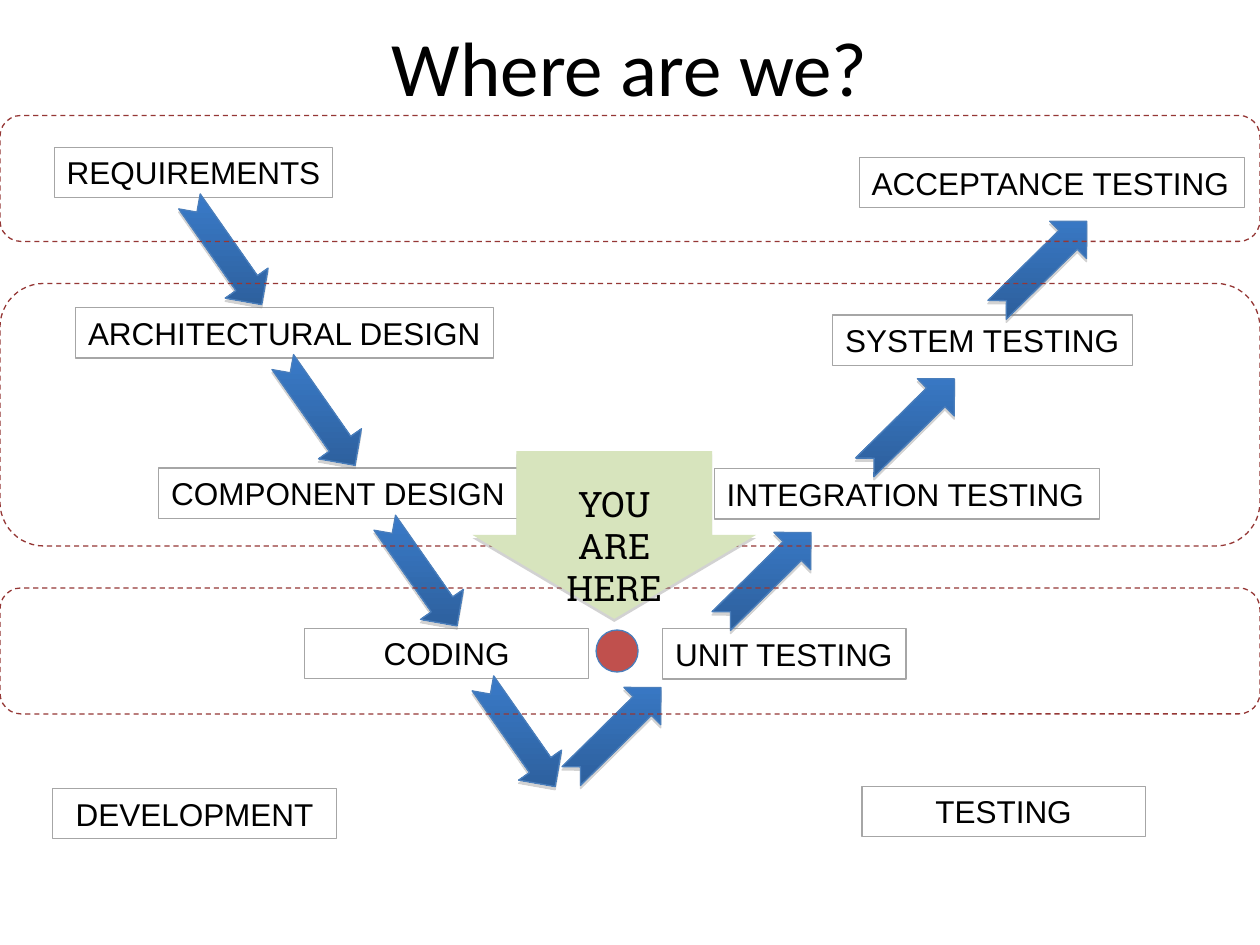
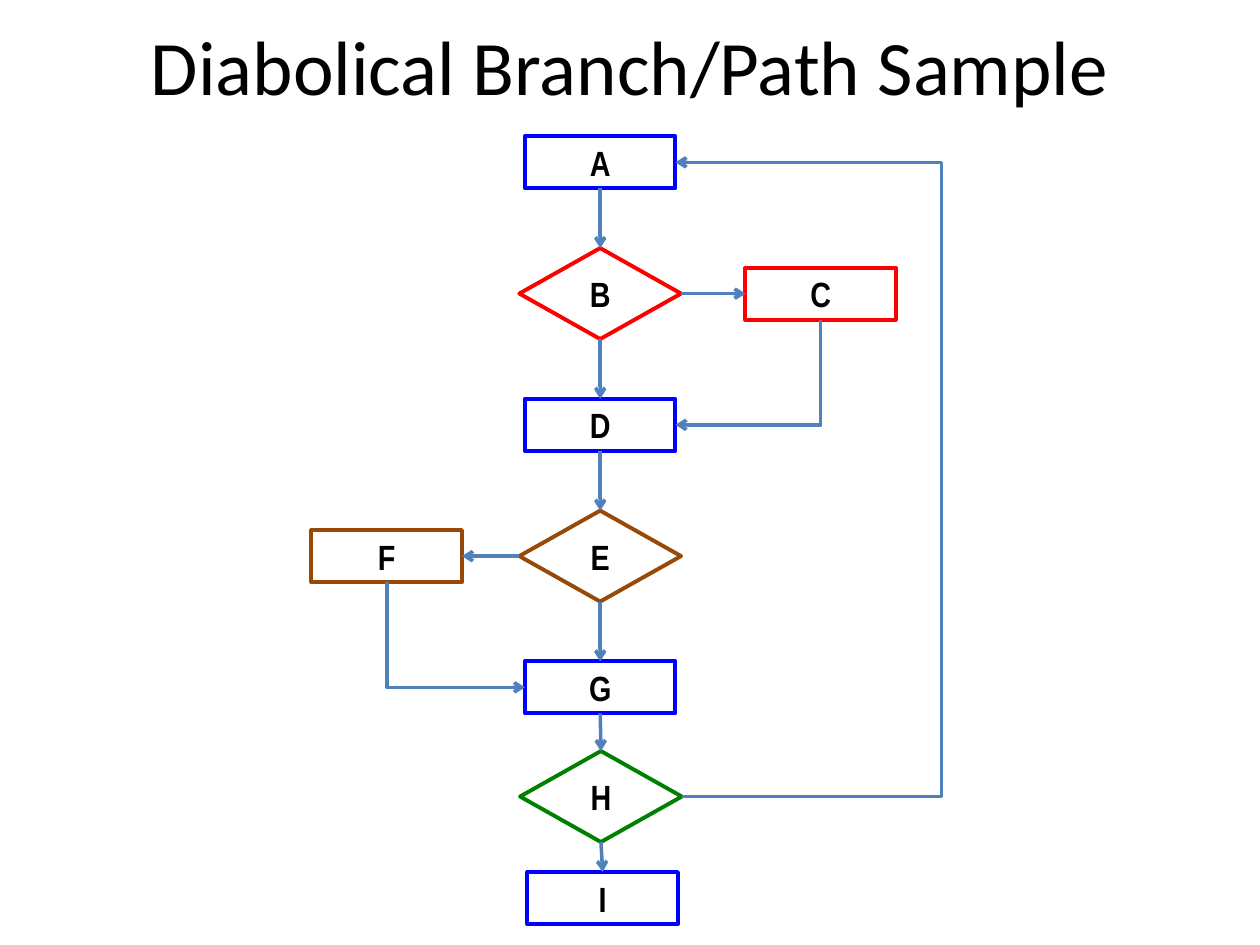
from dataclasses import dataclass
from lxml import etree
from pptx import Presentation
from pptx.dml.color import RGBColor
from pptx.enum import dml, shapes, text
from pptx.oxml import ns
from pptx.util import Pt

KIND = shapes.MSO_SHAPE
LINK = shapes.MSO_CONNECTOR
ALIGN = text.PP_ALIGN
TOP, LEFT, BOTTOM, RIGHT = range(4)


@dataclass(frozen=True)
class Theme:
    ink: str = "000000"
    paper: str = "FFFFFF"
    frame: str = "A6A6A6"
    band: str = "953735"
    edge: str = "4A7EBB"
    light: str = "3A7CCB"
    dark: str = "2C5D98"
    shade: str = "808080"
    here: str = "D7E4BD"
    dot: str = "C0504D"
    link: str = "4F81BD"
    blue: str = "0000FF"
    red: str = "FF0000"
    brown: str = "984807"
    green: str = "008000"
    title: tuple = ("Calibri", 44, False)
    label: tuple = ("Arial", 18, False)
    call: tuple = ("Roboto Slab", 20, False)
    node: tuple = ("Arial Narrow", 20, True)


T = Theme()


def rgb(code):
    return RGBColor.from_string(code)


def tag(parent, label, **attrs):
    return etree.SubElement(parent, ns.qn(label), attrs)


def write(shape, words, style, align=ALIGN.CENTER, anchor=text.MSO_ANCHOR.MIDDLE, wrap=False):
    frame = shape.text_frame
    frame.text = words
    frame.word_wrap = wrap
    frame.auto_size = text.MSO_AUTO_SIZE.NONE
    frame.vertical_anchor = anchor
    face, size, bold = style
    for para in frame.paragraphs:
        para.alignment = align
        for run in para.runs:
            run.font.name = face
            run.font.size = Pt(size)
            run.font.bold = bold
            run.font.color.rgb = rgb(T.ink)


def draw(parts, kind, box, fill=None, line=None, width=0.75):
    shape = parts.add_shape(kind, *map(Pt, box))
    shape.shadow.inherit = False
    if fill:
        shape.fill.solid()
        shape.fill.fore_color.rgb = rgb(fill)
    else:
        shape.fill.background()
    if line:
        shape.line.color.rgb = rgb(line)
        shape.line.width = Pt(width)
    else:
        shape.line.fill.background()
    return shape


def cast(shape):
    effect = shape._element.spPr.find(ns.qn("a:effectLst"))
    drop = tag(effect, "a:outerShdw", blurRad="0", dist=str(Pt(1.8)), dir="5400000", rotWithShape="0")
    color = tag(drop, "a:srgbClr", val=T.shade)
    tag(color, "a:alpha", val="35000")


def head(slide, words, box):
    title = slide.shapes.title
    title.left, title.top, title.width, title.height = map(Pt, box)
    write(title, words, T.title, wrap=True)


def label(parts, words, box, align):
    shape = draw(parts, KIND.RECTANGLE, box, line=T.frame)
    write(shape, words, T.label, align, text.MSO_ANCHOR.TOP)


def arrow(parts, x, y, turn):
    shape = draw(parts, KIND.NOTCHED_RIGHT_ARROW, (x, y, 72, 30), line=T.edge)
    shape.rotation = turn
    shape.fill.gradient()
    shape.fill.gradient_angle = (turn - 90) % 360
    for stop, color in zip(shape.fill.gradient_stops, (T.light, T.dark)):
        stop.color.rgb = rgb(color)
    cast(shape)


def bands(parts, box):
    x, y, w, h = box
    for tall in (72, 150, 72):
        shape = draw(parts, KIND.ROUNDED_RECTANGLE, (x, y, w, tall), line=T.band)
        shape.line.dash_style = dml.MSO_LINE.DASH
        y += tall + 24


def marker(parts, box):
    x, y, w, h = box
    group = parts.add_group_shape().shapes
    shape = draw(group, KIND.UP_ARROW, box, fill=T.here)
    shape.adjustments[0] = 0.69
    shape.rotation = 180
    cast(shape)
    note = group.add_textbox(*map(Pt, (x + 35, y + 14.4, w - 70, 79)))
    write(note, "YOU ARE\nHERE", T.call, anchor=text.MSO_ANCHOR.TOP, wrap=True)


def vee(parts, box):
    x, y, w, h = box
    left, mid = ALIGN.LEFT, ALIGN.CENTER
    down = (
        ("REQUIREMENTS", 31, 159, left),
        ("ARCHITECTURAL DESIGN", 43.2, 239, left),
        ("COMPONENT DESIGN", 90.7, 205.2, left),
        ("CODING", 174.2, 162, mid),
        ("DEVELOPMENT", 30.2, 162, mid),
    )
    for row, (words, dx, wide, align) in enumerate(down):
        label(parts, words, (x + dx, y + 18.2 + 91.6 * row, wide, 28.8), align)
    up = (
        ("ACCEPTANCE TESTING", 491, 24, 220.3, left),
        ("SYSTEM TESTING", 475.9, 114, 171.4, left),
        ("INTEGRATION TESTING", 408.2, 201.8, 220.3, left),
        ("UNIT TESTING", 378.7, 293.3, 139, left),
        ("TESTING", 492.5, 383.3, 162, mid),
    )
    for words, dx, dy, wide, align in up:
        label(parts, words, (x + dx, y + dy, wide, 28.8), align)
    for row, dx in enumerate((92.9, 146.2, 204.5, 260.6)):
        arrow(parts, x + dx, y + 63.6 + 91.8 * row, 55)
    for dx, dy in ((316.1, 337.2), (401.8, 248.6), (483.8, 160.8), (559.4, 70.8)):
        arrow(parts, x + dx, y + dy, 315.4)
    bands(parts, box)
    marker(parts, (x + 270, y + 191.8, 162, 95.8))
    draw(parts, KIND.OVAL, (x + 340.6, y + 294, 24, 24), T.dot, T.edge)


def join(parts, start, side, end, into, kind=LINK.STRAIGHT):
    link = parts.add_connector(kind, 0, 0, 0, 0)
    link.begin_connect(start, side)
    link.end_connect(end, into)
    link.line.color.rgb = rgb(T.link)
    link.line.width = Pt(2)
    tag(link._element.spPr.find(ns.qn("a:ln")), "a:tailEnd", type="arrow")
    tag(link._element.spPr, "a:effectLst")
    return link


def corner(parts, start, end, into):
    link = join(parts, start, BOTTOM, end, into, LINK.ELBOW)
    x, y, w, h = link.left, link.top, link.width, link.height
    link.left, link.top = x + (w - h) // 2, y + (h - w) // 2
    link.width, link.height = h, w
    link._element.spPr.prstGeom.set("prst", "bentConnector2")
    frame = link._element.spPr.xfrm
    frame.flipH = into == LEFT
    frame.rot = 270 if into == LEFT else 90


def loop(parts, start, end, far):
    link = join(parts, start, RIGHT, end, RIGHT, LINK.ELBOW)
    ratio = (link.begin_x - Pt(far)) / link.width
    guides = link._element.spPr.prstGeom.get_or_add_avLst()
    tag(guides, "a:gd", name="adj1", fmla=f"val {round(ratio * 100000)}")


def flow(parts, box):
    x, y, w, h = box
    rows = [14.8 + 75 * row for row in range(5)]
    plan = {
        "A": (165, rows[0], T.blue),
        "B": (165, rows[1], T.red),
        "C": (291, rows[1], T.red),
        "D": (165, rows[2], T.blue),
        "E": (165, rows[3], T.brown),
        "F": (43, rows[3], T.brown),
        "G": (165, rows[4], T.blue),
        "H": (165.4, 377.2, T.green),
        "I": (166.4, 435.2, T.blue),
    }
    nodes = {}
    for name, (dx, dy, color) in plan.items():
        choice = name in "BEH"
        kind = KIND.DIAMOND if choice else KIND.RECTANGLE
        wide, tall = (92.4, 52) if choice else (86, 29.8)
        place = (x + dx - wide / 2, y + dy - tall / 2, wide, tall)
        nodes[name] = draw(parts, kind, place, T.paper, color, 2.25)
        write(nodes[name], name, T.node)
    spine = "ABDEGHI"
    for start, end in zip(spine, spine[1:]):
        join(parts, nodes[start], BOTTOM, nodes[end], TOP)
    join(parts, nodes["B"], RIGHT, nodes["C"], LEFT)
    join(parts, nodes["E"], LEFT, nodes["F"], RIGHT)
    corner(parts, nodes["C"], nodes["D"], RIGHT)
    corner(parts, nodes["F"], nodes["G"], LEFT)
    loop(parts, nodes["H"], nodes["A"], x + w)


def main():
    deck = Presentation()
    deck.slide_width, deck.slide_height = Pt(720), Pt(540)
    pages = (
        ("Where are we?", (36, 12.2, 648, 50.4), vee, (0, 66, 720, 420)),
        ("Diabolical Branch/Path Sample", (36, 5.8, 648, 62.6), flow, (178, 78, 360, 450)),
    )
    for words, top, body, box in pages:
        slide = deck.slides.add_slide(deck.slide_layouts[5])
        head(slide, words, top)
        body(slide.shapes, box)
    deck.save("out.pptx")


if __name__ == "__main__":
    main()
